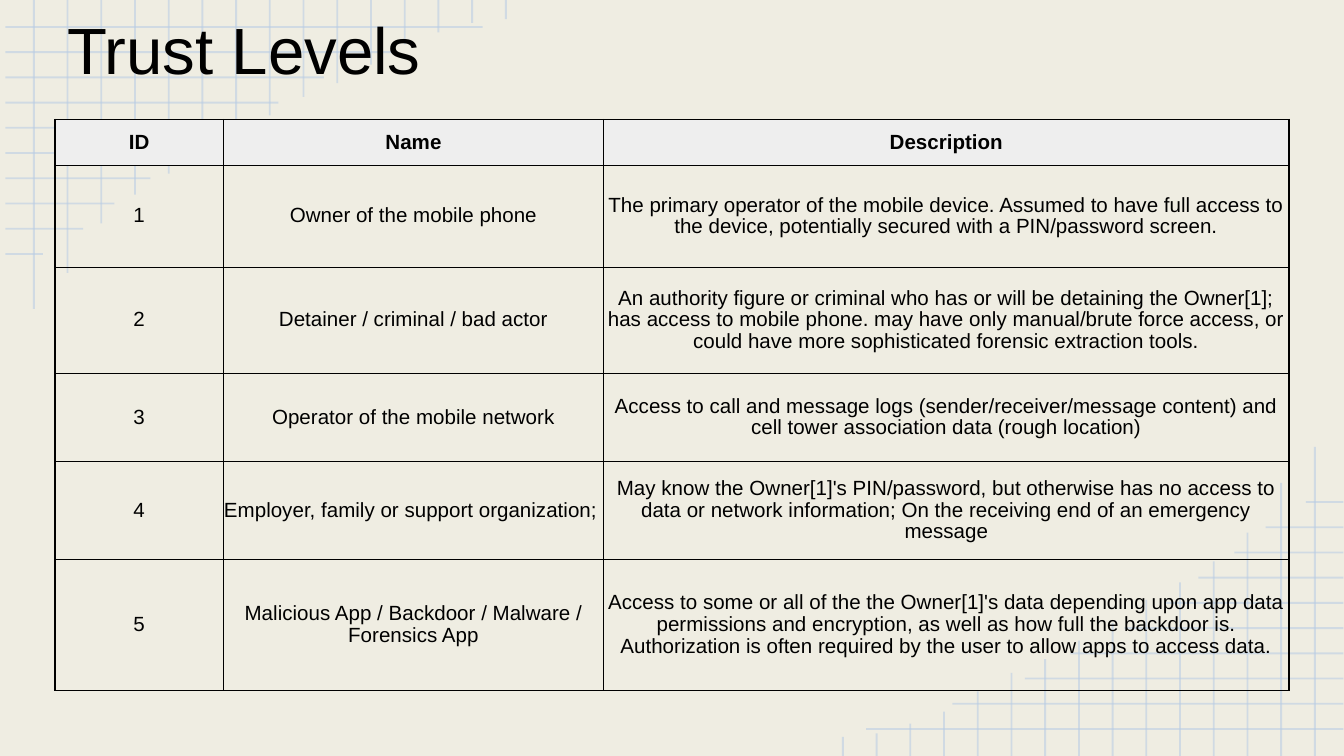
from dataclasses import dataclass

from lxml.etree import SubElement
from pptx import Presentation
from pptx.dml.color import RGBColor
from pptx.enum.shapes import MSO_CONNECTOR
from pptx.enum.text import MSO_ANCHOR, MSO_AUTO_SIZE, PP_ALIGN
from pptx.oxml.ns import qn
from pptx.slide import Slide
from pptx.text.text import TextFrame
from pptx.util import Cm, Pt


@dataclass(frozen=True)
class Theme:
    paper: str = "EFEDE2"
    grid: str = "B7CCE4"
    ink: str = "000000"
    head: str = "EEEEEE"
    font: str = "Arial"
    title: float = 35
    text: float = 11
    rule: float = 0.75
    alpha: int = 54000


@dataclass(frozen=True)
class Line:
    x1: float
    y1: float
    x2: float
    y2: float

    def turn(self) -> "Line":
        return Line(TURN_X - self.x1, TURN_Y - self.y1,
                    TURN_X - self.x2, TURN_Y - self.y2)


@dataclass(frozen=True)
class Level:
    mark: str
    name: str
    about: str
    height: float
    head: bool = False


THEME = Theme()
WIDTH, HEIGHT = 25.4, 14.29
TURN_X, TURN_Y = 25.49, 14.29
ROW_ENDS = (9.12, 7.49, 6.12, 5.26, 4.24, 3.48, 2.84, 2.16, 1.57, 0.81)
COL_ENDS = (5.84, 5.16, 4.22, 3.68, 3.28, 2.95, 2.51, 2.18,
            1.83, 1.57, 1.22, 0.84, 0.61, 0.43, 0.36)
COLS = (3.18, 7.19, 12.95)
LEVELS = (
    Level("ID", "Name", "Description", 0.87, True),
    Level("1", "Owner of the mobile phone",
          "The primary operator of the mobile device. Assumed to have full access to "
          "the device, potentially secured with a PIN/password screen.", 1.92),
    Level("2", "Detainer / criminal / bad actor",
          "An authority figure or criminal who has or will be detaining the Owner[1]; "
          "has access to mobile phone. may have only manual/brute force access, or "
          "could have more sophisticated forensic extraction tools.", 2.01),
    Level("3", "Operator of the mobile network",
          "Access to call and message logs (sender/receiver/message content) and "
          "cell tower association data (rough location)", 1.67),
    Level("4", "Employer, family or support organization; ",
          "May know the Owner[1]'s PIN/password, but otherwise has no access to "
          "data or network information; On the receiving end of an emergency "
          "message", 1.85),
    Level("5", "Malicious App / Backdoor / Malware / Forensics App",
          "Access to some or all of the the Owner[1]'s data depending upon app data "
          "permissions and encryption, as well as how full the backdoor is. "
          "Authorization is often required by the user to allow apps to access data.", 2.47),
)


def write(frame: TextFrame, text: str, *, size: float = THEME.text,
          bold: bool = False, align: PP_ALIGN = PP_ALIGN.CENTER) -> None:
    para = frame.paragraphs[0]
    para.alignment = align
    para.line_spacing = 0.95
    run = para.add_run()
    run.text = text
    run.font.name = THEME.font
    run.font.size = Pt(size)
    run.font.bold = bold
    run.font.color.rgb = RGBColor.from_string(THEME.ink)


def draw_line(slide: Slide, line: Line) -> None:
    shape = slide.shapes.add_connector(
        MSO_CONNECTOR.STRAIGHT, Cm(line.x1), Cm(line.y1), Cm(line.x2), Cm(line.y2))
    shape.line.width = Pt(1)
    shape.line.color.rgb = RGBColor.from_string(THEME.grid)
    props = shape.element.spPr
    tint = props.find(".//" + qn("a:srgbClr"))
    SubElement(tint, qn("a:alpha"), val=str(THEME.alpha))
    SubElement(props, qn("a:effectLst"))


def draw_grid(slide: Slide) -> None:
    lines = []
    for i, end in enumerate(ROW_ENDS):
        y = 0.51 + i * 4.29 / 9
        lines.append(Line(0.1, y, end, y))
    for i, end in enumerate(COL_ENDS):
        x = 0.64 + i * 8.92 / 14
        lines.append(Line(x, end, x, 0))
    for line in lines + [line.turn() for line in lines]:
        draw_line(slide, line)


def draw_title(slide: Slide, text: str) -> None:
    title = slide.shapes.title
    title.left, title.top, title.width, title.height = Cm(1.27), Cm(0.28), Cm(20.32), Cm(2.82)
    frame = title.text_frame
    frame.margin_left = frame.margin_right = frame.margin_top = frame.margin_bottom = 0
    frame.word_wrap = True
    frame.auto_size = MSO_AUTO_SIZE.NONE
    frame.vertical_anchor = MSO_ANCHOR.TOP
    write(frame, text, size=THEME.title, align=PP_ALIGN.LEFT)
    slide.shapes.element.append(title.element)


def draw_table(slide: Slide) -> None:
    table = slide.shapes.add_table(
        len(LEVELS), len(COLS), Cm(1.04), Cm(2.26), Cm(sum(COLS)),
        Cm(sum(level.height for level in LEVELS))).table
    table.first_row = table.horz_banding = False
    for col, width in zip(table.columns, COLS):
        col.width = Cm(width)
    for row, level in zip(table.rows, LEVELS):
        row.height = Cm(level.height)
        for cell, text in zip(row.cells, (level.mark, level.name, level.about)):
            cell.margin_left = cell.margin_right = cell.margin_top = cell.margin_bottom = 0
            cell.vertical_anchor = MSO_ANCHOR.MIDDLE
            props = cell._tc.get_or_add_tcPr()
            for side in ("lnL", "lnR", "lnT", "lnB"):
                edge = SubElement(props, qn("a:" + side), w=str(Pt(THEME.rule)))
                fill = SubElement(edge, qn("a:solidFill"))
                SubElement(fill, qn("a:srgbClr"), val=THEME.ink)
            if level.head:
                cell.fill.solid()
                cell.fill.fore_color.rgb = RGBColor.from_string(THEME.head)
            else:
                cell.fill.background()
            write(cell.text_frame, text, bold=level.head)


def main() -> None:
    deck = Presentation()
    deck.slide_width, deck.slide_height = Cm(WIDTH), Cm(HEIGHT)
    slide = deck.slides.add_slide(deck.slide_layouts[5])
    slide.background.fill.solid()
    slide.background.fill.fore_color.rgb = RGBColor.from_string(THEME.paper)
    draw_grid(slide)
    draw_title(slide, "Trust Levels")
    draw_table(slide)
    deck.save("out.pptx")


if __name__ == "__main__":
    main()
